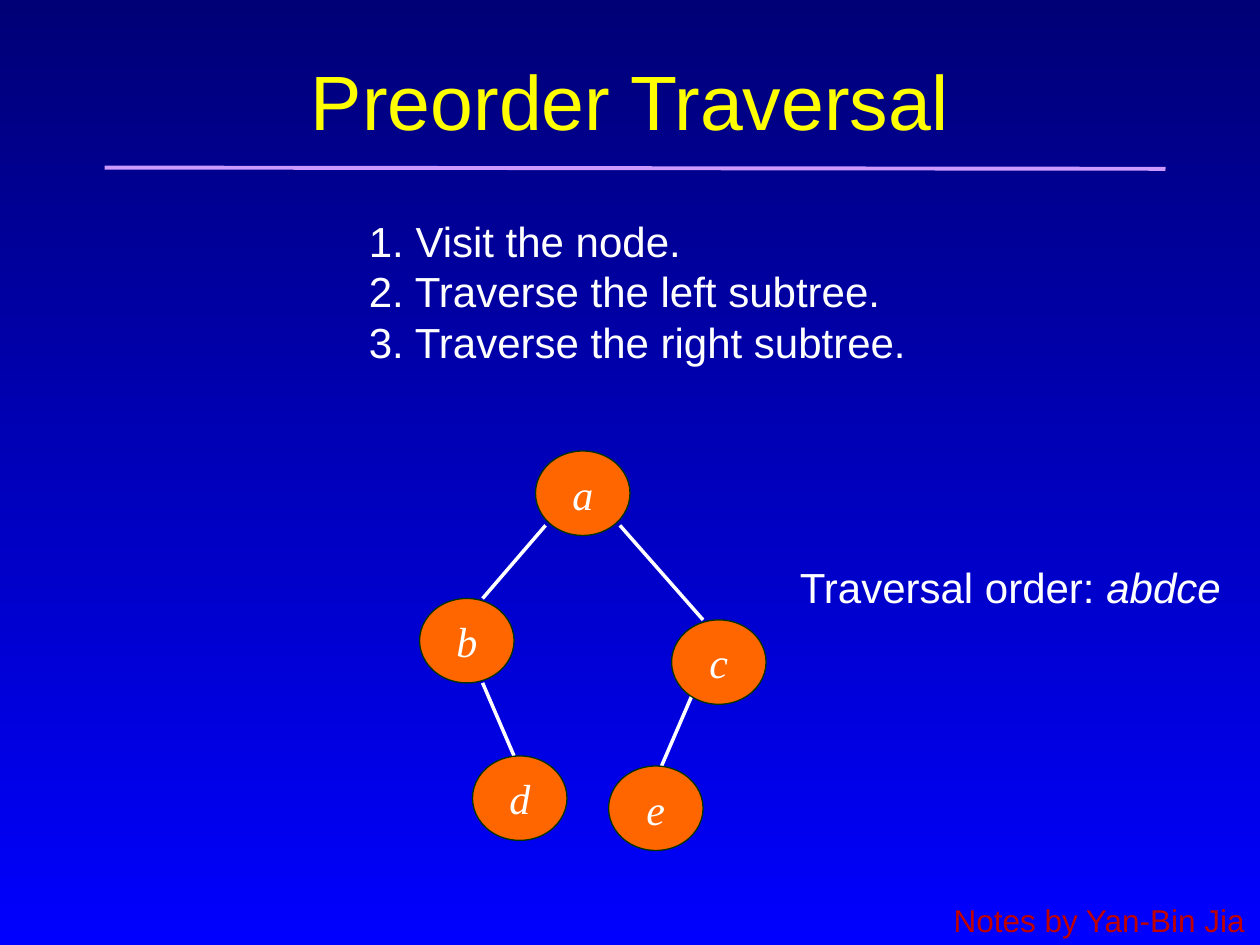
from lxml.etree import SubElement
from pptx import Presentation
from pptx.dml.color import RGBColor
from pptx.enum.shapes import MSO_CONNECTOR as Connector, MSO_SHAPE as Shape
from pptx.enum.text import MSO_ANCHOR as Anchor, PP_ALIGN as Align
from pptx.oxml.ns import qn
from pptx.util import Inches, Pt

NIGHT = RGBColor(0x00, 0x00, 0x76)
BLUE = RGBColor(0x00, 0x00, 0xFF)
YELLOW = RGBColor(0xFF, 0xFF, 0x00)
WHITE = RGBColor(0xFF, 0xFF, 0xFF)
LILAC = RGBColor(0xCC, 0x99, 0xFF)
ORANGE = RGBColor(0xFF, 0x66, 0x00)
DARK_GREEN = RGBColor(0x00, 0x33, 0x00)
RED = RGBColor(0xC0, 0x00, 0x00)

NODE_WIDTH, NODE_HEIGHT = 0.75, 0.67

STEPS = [
    "1. Visit the node.",
    "2. Traverse the left subtree.",
    "3. Traverse the right subtree.",
]

# Left and top of each tree node
NODES = {
    "e": (4.83, 6.08),
    "c": (5.33, 4.92),
    "d": (3.75, 6),
    "b": (3.33, 4.75),
    "a": (4.25, 3.58),
}

# Start and end of each tree edge, parent to child
EDGES = [
    ((4.92, 4.17), (5.58, 4.92)),  # a to c
    ((5.5, 5.5), (5.25, 6.08)),    # c to e
    ((4.33, 4.17), (3.83, 4.75)),  # a to b
    ((3.83, 5.42), (4.08, 6)),     # b to d
]


def add_text(para, text, size=24, color=WHITE, font="Arial", italic=False,
             align=Align.LEFT):
    para.alignment = align
    span = para.add_run()
    span.text = text
    span.font.name = font
    span.font.size = Pt(size)
    span.font.italic = italic
    span.font.color.rgb = color


def add_box(page, left, top, width, height):
    box = page.shapes.add_textbox(
        Inches(left), Inches(top), Inches(width), Inches(height))
    box.text_frame.word_wrap = False
    return box.text_frame


def add_line(page, start, end, color=WHITE, width=2):
    points = [Inches(value) for value in (*start, *end)]
    line = page.shapes.add_connector(Connector.STRAIGHT, *points)
    line.line.color.rgb = color
    line.line.width = Pt(width)
    SubElement(line._element.spPr, qn("a:effectLst"))


def add_node(page, label, left, top):
    node = page.shapes.add_shape(
        Shape.OVAL, Inches(left), Inches(top),
        Inches(NODE_WIDTH), Inches(NODE_HEIGHT))
    node.shadow.inherit = False
    node.fill.solid()
    node.fill.fore_color.rgb = ORANGE
    node.line.color.rgb = DARK_GREEN
    node.line.width = Pt(0.75)
    frame = node.text_frame
    frame.word_wrap = False
    frame.vertical_anchor = Anchor.MIDDLE
    add_text(frame.paragraphs[0], label, font="Times New Roman", italic=True,
             align=Align.CENTER)


def set_background(page):
    fill = page.background.fill
    fill.gradient()
    fill.gradient_angle = 270
    for stop, color in zip(fill.gradient_stops, (NIGHT, BLUE)):
        stop.color.rgb = color
    fill.gradient_stops[0].position = 0
    fill.gradient_stops[1].position = 1


def set_title(page, text):
    title = page.shapes.title
    title.left, title.top = Inches(0.75), Inches(0.17)
    title.width, title.height = Inches(8.5), Inches(1.25)
    title.text_frame.vertical_anchor = Anchor.MIDDLE
    add_text(title.text_frame.paragraphs[0], text, size=44, color=YELLOW,
             align=Align.CENTER)


def main():
    deck = Presentation()
    deck.slide_width, deck.slide_height = Inches(10), Inches(7.5)
    page = deck.slides.add_slide(deck.slide_layouts[5])
    set_background(page)

    # Title with its rule
    set_title(page, "Preorder Traversal")
    add_line(page, (0.83, 1.33), (9.25, 1.34), color=LILAC, width=2.25)

    # Steps of the algorithm
    steps = add_box(page, 2.83, 1.66, 4.57, 1.3)
    for index, step in enumerate(STEPS):
        para = steps.add_paragraph() if index else steps.paragraphs[0]
        add_text(para, step)

    # Binary tree, nodes above edges
    for start, end in EDGES:
        add_line(page, start, end)
    for label, (left, top) in NODES.items():
        add_node(page, label, left, top)

    # Resulting order
    order = add_box(page, 6.25, 4.41, 3.56, 0.5).paragraphs[0]
    add_text(order, "Traversal order: ")
    add_text(order, "abdce", italic=True)

    # Author's note
    note = add_box(page, 7.47, 7.1, 2.53, 0.4).paragraphs[0]
    add_text(note, "Notes by Yan-Bin Jia", size=18, color=RED)

    deck.save("out.pptx")


if __name__ == "__main__":
    main()
